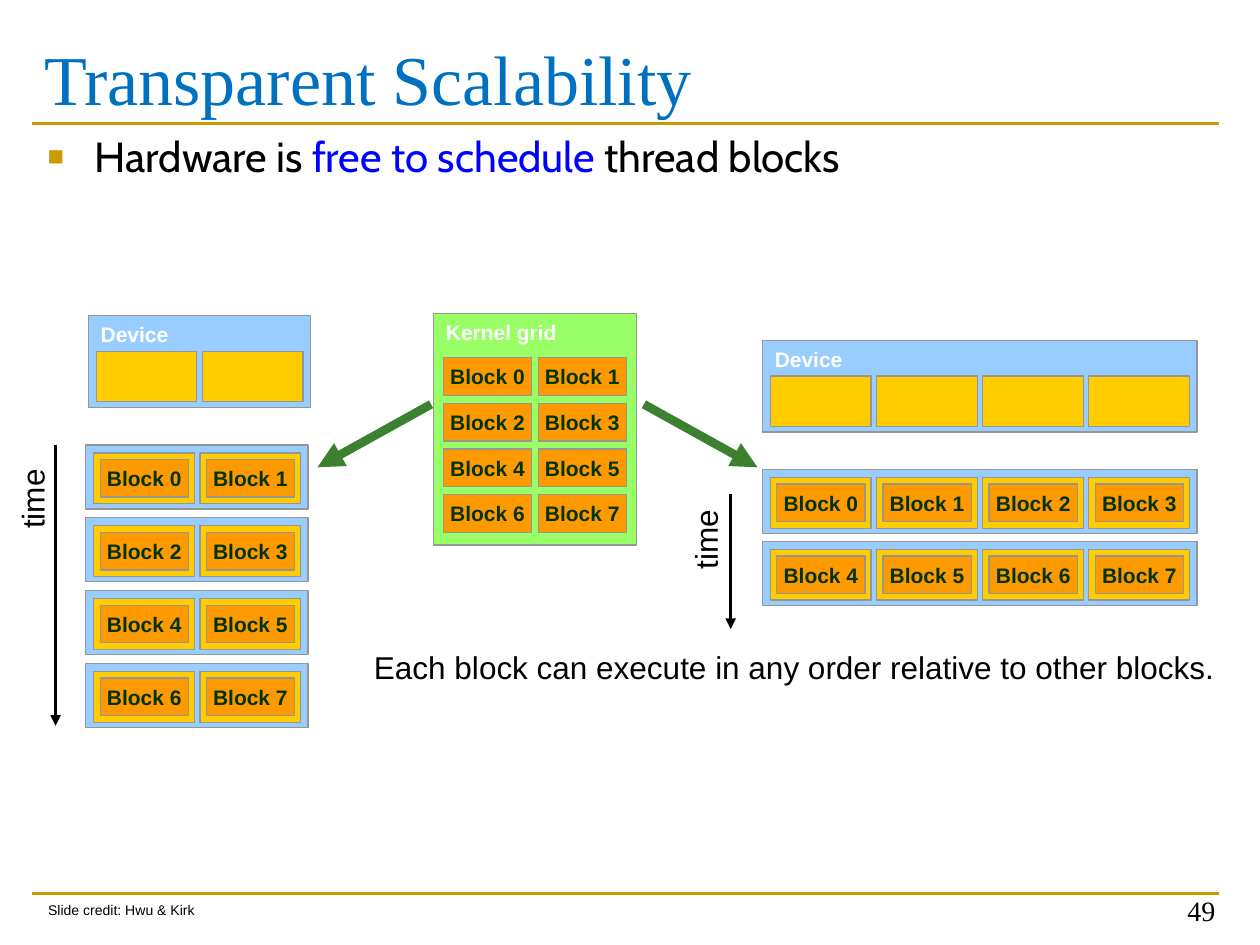
from lxml import etree
from pptx import Presentation
from pptx import util as u
from pptx.dml.color import RGBColor
from pptx.enum import shapes, text
from pptx.oxml import ns

COLOURS = {
    "gold": "CC9900", "title": "0070C0", "black": "000000", "blue": "0000FF",
    "device": "99CCFF", "core": "FFCC00", "block": "FF9900", "grid": "99FF66",
    "outline": "969696", "label": "FFFFFF", "block_text": "003300", "green": "3B812F",
}
CORE_WIDTH, CORE_HEIGHT, CORE_PITCH = 2.03, 1.02, 2.14
BLOCK_WIDTH, BLOCK_HEIGHT = 1.78, 0.76
BLOCK_COUNT = 8


def colour(name):
    """Return the named colour."""
    return RGBColor.from_string(COLOURS[name])


def set_font(paragraph, size, name="Arial", fill="black", bold=False):
    """Set the font of a whole paragraph."""
    font = paragraph.font
    font.size, font.name, font.bold = u.Pt(size), name, bold
    font.color.rgb = colour(fill)


def add_rectangle(slide, left, top, width, height, fill):
    """Add a thinly outlined rectangle."""
    shape = slide.shapes.add_shape(
        shapes.MSO_SHAPE.RECTANGLE, u.Cm(left), u.Cm(top), u.Cm(width), u.Cm(height))
    shape.shadow.inherit = False
    shape.fill.solid()
    shape.fill.fore_color.rgb = colour(fill)
    shape.line.color.rgb = colour("outline")
    shape.line.width = u.Pt(0.75)
    return shape


def add_panel(slide, left, top, width, height, fill, label):
    """Add a rectangle labelled at its top left."""
    frame = add_rectangle(slide, left, top, width, height, fill).text_frame
    frame.vertical_anchor = text.MSO_ANCHOR.TOP
    paragraph = frame.paragraphs[0]
    paragraph.text = label
    paragraph.alignment = text.PP_ALIGN.LEFT
    set_font(paragraph, 12, fill="label", bold=True)


def add_block(slide, left, top, number):
    """Add one numbered thread block."""
    frame = add_rectangle(slide, left, top, BLOCK_WIDTH, BLOCK_HEIGHT, "block").text_frame
    frame.word_wrap = False
    paragraph = frame.paragraphs[0]
    paragraph.text = f"Block {number}"
    paragraph.alignment = text.PP_ALIGN.CENTER
    set_font(paragraph, 12, fill="block_text", bold=True)


def add_line(slide, start, end, fill, width, arrow=False):
    """Add a straight line, with an arrowhead at its end on request."""
    points = [u.Cm(value) for value in (*start, *end)]
    line = slide.shapes.add_connector(shapes.MSO_CONNECTOR.STRAIGHT, *points)
    line.line.color.rgb = colour(fill)
    line.line.width = u.Pt(width)
    if arrow:
        etree.SubElement(line.line._get_or_add_ln(), ns.qn("a:tailEnd"), type="triangle")
    etree.SubElement(line._element.spPr, ns.qn("a:effectLst"))


def add_text(slide, left, top, width, height, words, size, name="Arial", fill="black"):
    """Add a wrapping text box with one paragraph."""
    box = slide.shapes.add_textbox(u.Cm(left), u.Cm(top), u.Cm(width), u.Cm(height))
    box.text_frame.word_wrap = True
    paragraph = box.text_frame.paragraphs[0]
    paragraph.text = words
    set_font(paragraph, size, name, fill)
    return box


def add_heading(slide, left, top, width):
    """Add the title and the rule below it."""
    add_line(slide, (left, top + 2.06), (left + width, top + 2.06), "gold", 1.5)
    title = add_text(slide, left, top, width, 2.97, "Transparent Scalability", 40,
                     "Times New Roman", "title")
    title.text_frame.margin_top = u.Cm(0.29)


def add_body(slide, left, top, width, height):
    """Add the bulleted statement with its highlighted words."""
    box = add_text(slide, left, top, width, height, "", 24, "Cabin")
    paragraph = box.text_frame.paragraphs[0]
    for words, fill in (("Hardware is ", "black"), ("free to schedule", "blue"),
                        (" thread blocks", "black")):
        run = paragraph.add_run()
        run.text = words
        run.font.color.rgb = colour(fill)
    paragraph.space_before = u.Pt(4.8)
    properties = paragraph._p.get_or_add_pPr()
    properties.set("marL", str(u.Cm(0.95)))
    properties.set("indent", str(u.Cm(-0.95)))
    bullet_colour = etree.SubElement(properties, ns.qn("a:buClr"))
    etree.SubElement(bullet_colour, ns.qn("a:srgbClr"), val=COLOURS["gold"])
    etree.SubElement(properties, ns.qn("a:buSzPct"), val="65000")
    etree.SubElement(properties, ns.qn("a:buFont"), typeface="Arial")
    etree.SubElement(properties, ns.qn("a:buChar"), char="■")
    properties.append(properties.find(ns.qn("a:defRPr")))


def add_device(slide, left, top, columns):
    """Add a device with one row of empty cores."""
    add_panel(slide, left, top, columns * CORE_PITCH + 0.2, 1.85, "device", "Device")
    for column in range(columns):
        add_rectangle(slide, left + 0.16 + column * CORE_PITCH, top + 0.72,
                      CORE_WIDTH, CORE_HEIGHT, "core")


def add_schedule(slide, left, top, columns, row_pitch):
    """Add the rows of blocks that a device runs one after another."""
    for row in range(BLOCK_COUNT // columns):
        row_top = top + row * row_pitch
        add_rectangle(slide, left, row_top, columns * CORE_PITCH + 0.2, 1.29, "device")
        for column in range(columns):
            core_left, core_top = left + 0.16 + column * CORE_PITCH, row_top + 0.16
            add_rectangle(slide, core_left, core_top, CORE_WIDTH, CORE_HEIGHT, "core")
            add_block(slide, core_left + 0.13, core_top + 0.13, row * columns + column)


def add_kernel_grid(slide, left, top, width, height):
    """Add the kernel grid with its blocks in two columns."""
    add_panel(slide, left, top, width, height, "grid", "Kernel grid")
    for number in range(BLOCK_COUNT):
        row, column = divmod(number, 2)
        add_block(slide, left + 0.2 + column * 1.91, top + 0.89 + row * 0.92, number)


def add_time_axis(slide, left, top, length, label_left, label_top):
    """Add a downward time arrow and its upright label."""
    add_line(slide, (left, top), (left, top + length), "black", 2, arrow=True)
    label = add_text(slide, label_left, label_top, 2.01, 1.27, "time", 18)
    label.rotation = 270


def add_footer(slide, left, top, width):
    """Add the bottom rule, the credit and the page number."""
    add_line(slide, (left, top), (left + width, top), "gold", 1.5)
    credit = add_text(slide, left + 0.08, top + 0.03, 3.53, 0.61,
                      "Slide credit: Hwu & Kirk", 8)
    credit.text_frame.word_wrap = False
    number = add_text(slide, left + 18.19, top - 0.46, 5.92, 1.27, "49", 16,
                      "Times New Roman")
    number.text_frame.vertical_anchor = text.MSO_ANCHOR.BOTTOM
    number.text_frame.paragraphs[0].alignment = text.PP_ALIGN.RIGHT


def main():
    """Build the slide and save it."""
    presentation = Presentation()
    presentation.slide_width, presentation.slide_height = u.Cm(25.4), u.Cm(19.05)
    slide = presentation.slides.add_slide(presentation.slide_layouts[6])
    add_heading(slide, 0.64, 0.43, 23.93)
    add_body(slide, 0.71, 2.51, 23.8, 15.19)
    add_device(slide, 1.78, 6.36, 2)
    add_schedule(slide, 1.73, 8.97, 2, 1.47)
    add_time_axis(slide, 1.12, 8.97, 5.66, -0.23, 9.27)
    add_kernel_grid(slide, 8.74, 6.32, 4.09, 4.67)
    add_device(slide, 15.37, 6.86, 4)
    add_schedule(slide, 15.37, 9.47, 4, 1.45)
    add_time_axis(slide, 14.73, 9.96, 2.72, 13.34, 10.08)
    add_line(slide, (8.69, 8.15), (6.4, 9.42), "green", 5, arrow=True)
    add_line(slide, (12.98, 8.15), (15.27, 9.42), "green", 5, arrow=True)
    add_text(slide, 7.29, 12.93, 17.6, 1.02,
             "Each block can execute in any order relative to other blocks.", 18)
    add_footer(slide, 0.64, 18.01, 23.93)
    presentation.save("out.pptx")


if __name__ == "__main__":
    main()
